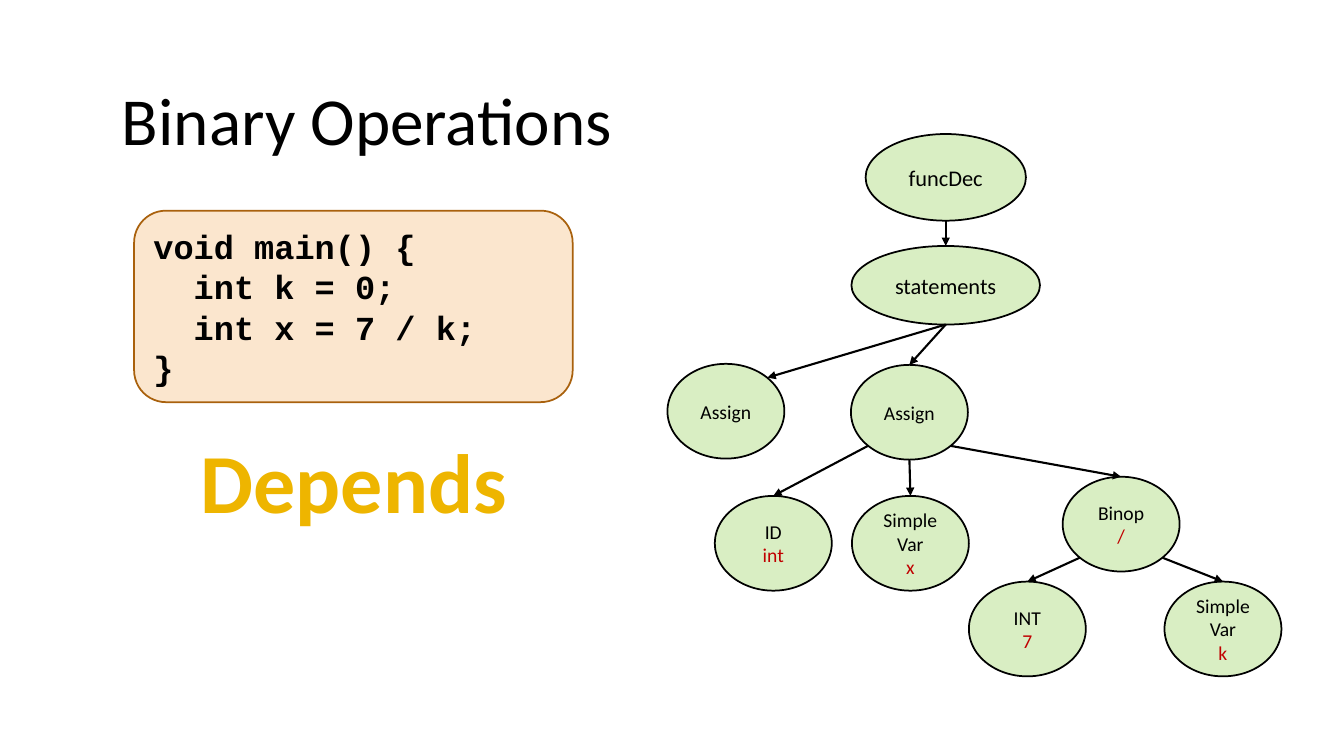
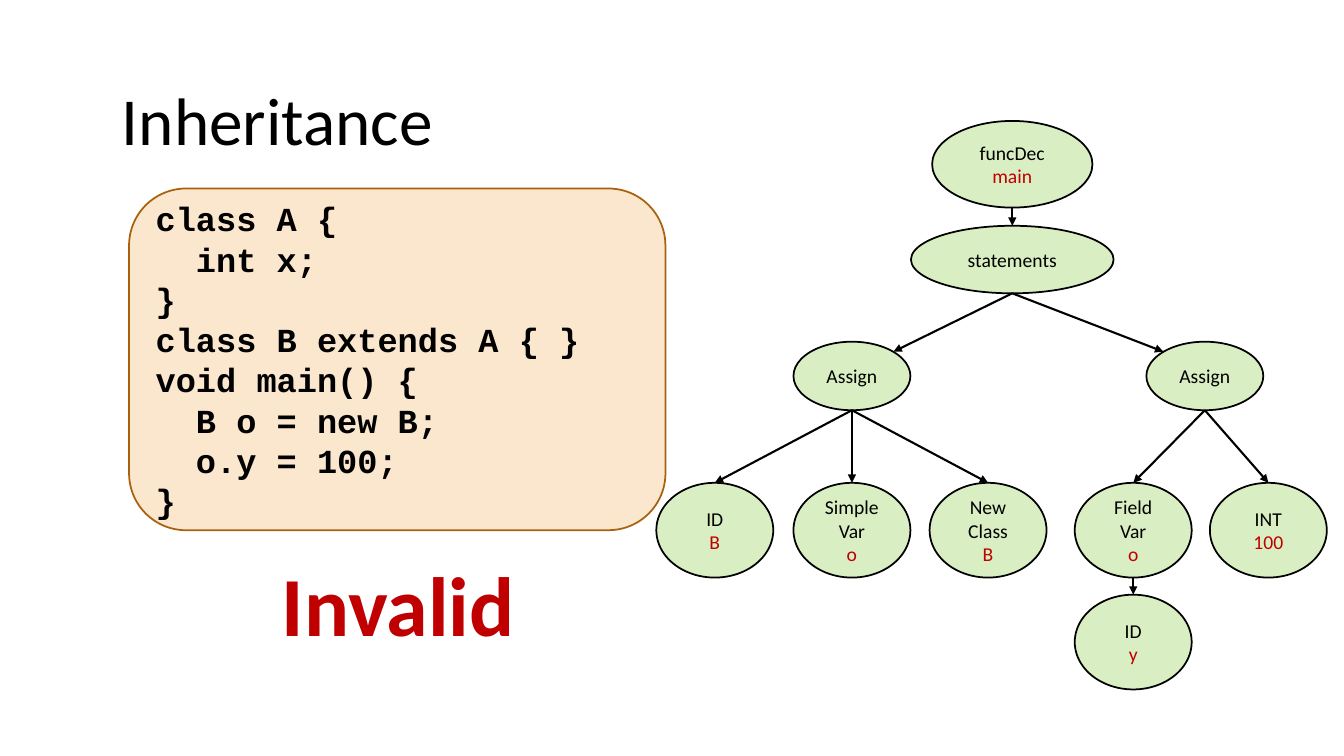
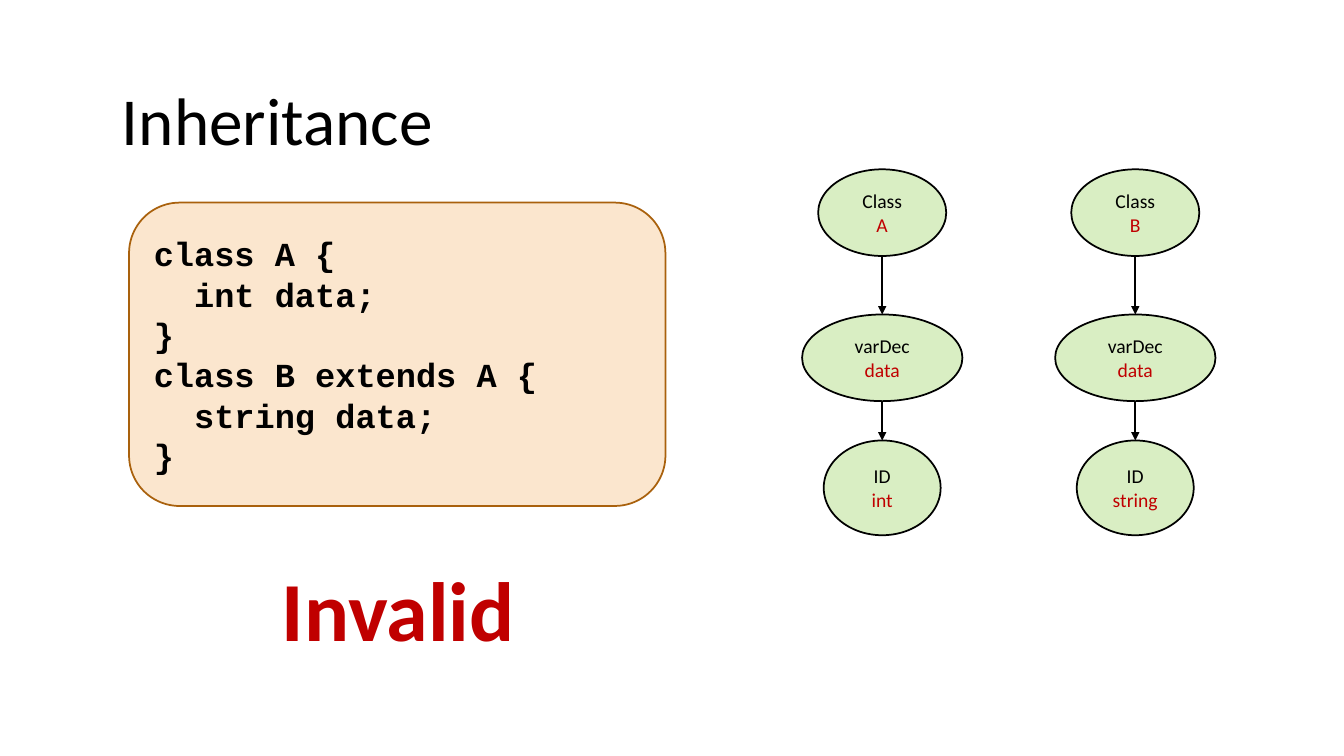
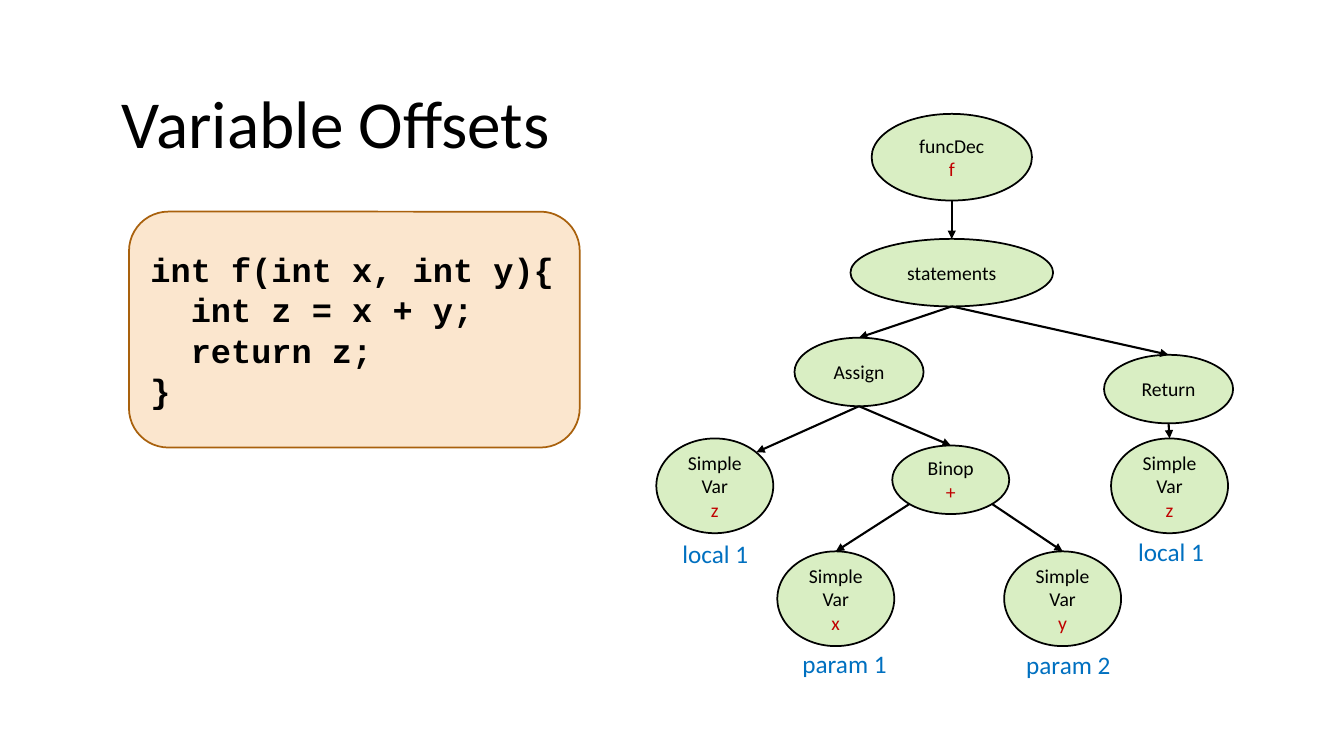
import lxml.etree
import pptx
import pptx.dml.color
import pptx.enum.shapes
import pptx.enum.text
import pptx.oxml.ns
import pptx.util

Inches = pptx.util.Inches
Pt = pptx.util.Pt
RGBColor = pptx.dml.color.RGBColor
SHAPE = pptx.enum.shapes.MSO_SHAPE
ALIGN = pptx.enum.text.PP_ALIGN
ANCHOR = pptx.enum.text.MSO_ANCHOR
qn = pptx.oxml.ns.qn

BLACK = RGBColor(0x00, 0x00, 0x00)
RED = RGBColor(0xC0, 0x00, 0x00)
AMBER = RGBColor(0xEE, 0xB5, 0x00)
BLUE = RGBColor(0x00, 0x70, 0xC0)
NODE_GREEN = RGBColor(0x92, 0xD0, 0x50)
CODE_FILL = RGBColor(0xFB, 0xE6, 0xCE)
CODE_LINE = RGBColor(0xA9, 0x61, 0x0D)

BODY_FONT = "Calibri"
CODE_FONT = "Courier New"
NODE_OPACITY = "34000"

# Node sizes: width, height
FUNCTION = (1.59, 0.86)
STATEMENTS = (2.01, 0.67)
LEAF = (1.16, 0.94)
FLAT = (1.16, 0.68)
WIDE_FLAT = (1.28, 0.68)
CLASS = (1.27, 0.86)

# Points on an ellipse, as fractions of its half width and half height
DIAGONAL = 0.71
TOP = (0, -1)
BOTTOM = (0, 1)
TOP_LEFT = (-DIAGONAL, -DIAGONAL)
TOP_RIGHT = (DIAGONAL, -DIAGONAL)
BOTTOM_LEFT = (-DIAGONAL, DIAGONAL)
BOTTOM_RIGHT = (DIAGONAL, DIAGONAL)


def box(left, top, width, height):
    return [Inches(length) for length in (left, top, width, height)]


def write_lines(frame, lines, size, font=BODY_FONT, bold=False, align=ALIGN.LEFT):
    """Write one paragraph for each (text, colour) pair."""
    frame.word_wrap = True
    for index, (text, colour) in enumerate(lines):
        paragraph = frame.add_paragraph() if index else frame.paragraphs[0]
        paragraph.alignment = align
        run = paragraph.add_run()
        run.text = text
        run.font.name = font
        run.font.size = Pt(size)
        run.font.bold = bold
        run.font.color.rgb = colour


def add_titled_slide(deck, heading, top=0.73):
    slide = deck.slides.add_slide(deck.slide_layouts[5])
    title = slide.shapes.title
    title.left, title.top, title.width, title.height = box(1.11, top, 11.09, 0.91)
    title.text_frame.auto_size = pptx.enum.text.MSO_AUTO_SIZE.NONE
    title.text_frame.vertical_anchor = ANCHOR.TOP
    write_lines(title.text_frame, [(heading, BLACK)], 48)
    return slide


def add_filled_shape(slide, preset, place, fill, line):
    shape = slide.shapes.add_shape(preset, *place)
    shape.shadow.inherit = False
    shape.fill.solid()
    shape.fill.fore_color.rgb = fill
    shape.line.color.rgb = line
    shape.line.width = Pt(1.25)
    shape.text_frame.vertical_anchor = ANCHOR.MIDDLE
    return shape


def add_code(slide, place, source):
    panel = add_filled_shape(slide, SHAPE.ROUNDED_RECTANGLE, box(*place),
                             CODE_FILL, CODE_LINE)
    write_lines(panel.text_frame, [(line, BLACK) for line in source],
                24, CODE_FONT, bold=True)


def add_text(slide, place, text, size, colour, bold=False, align=ALIGN.LEFT):
    label = slide.shapes.add_textbox(*box(*place))
    write_lines(label.text_frame, [(text, colour)], size, bold=bold, align=align)


def add_verdict(slide, place, text, colour):
    add_text(slide, place, text, 60, colour, bold=True, align=ALIGN.CENTER)


def add_node(slide, centre, top, kind, value=None, size=LEAF, points=14):
    """Add a tree node; its kind is black, one line a word, and its value red."""
    width, height = size
    node = add_filled_shape(slide, SHAPE.OVAL,
                            box(centre - width / 2, top, width, height),
                            NODE_GREEN, BLACK)
    colour = node.element.spPr.find(qn("a:solidFill")).find(qn("a:srgbClr"))
    lxml.etree.SubElement(colour, qn("a:alpha"), val=NODE_OPACITY)
    lines = [(word, BLACK) for word in kind.split()]
    if value:
        lines.append((value, RED))
    write_lines(node.text_frame, lines, points, align=ALIGN.CENTER)
    return node


def point_on(node, site):
    across, down = site
    return (round(node.left + node.width * (1 + across) / 2),
            round(node.top + node.height * (1 + down) / 2))


def add_edge(slide, parent, child, start=BOTTOM, end=TOP):
    edge = slide.shapes.add_connector(pptx.enum.shapes.MSO_CONNECTOR.STRAIGHT,
                                      *point_on(parent, start), *point_on(child, end))
    edge.line.color.rgb = BLACK
    edge.line.width = Pt(1.5)
    properties = edge.element.spPr
    lxml.etree.SubElement(properties.find(qn("a:ln")), qn("a:tailEnd"), type="triangle")
    lxml.etree.SubElement(properties, qn("a:effectLst"))


def build_binary_operations(deck):
    slide = add_titled_slide(deck, "Binary Operations")
    add_verdict(slide, (1.61, 4.21, 3.8, 1.11), "Depends", AMBER)
    add_code(slide, (1.33, 2.09, 4.35, 1.9),
             ["void main() {", "  int k = 0;", "  int x = 7 / k;", "}"])

    function = add_node(slide, 9.38, 1.33, "funcDec", size=FUNCTION, points=16)
    statements = add_node(slide, 9.38, 2.44, "statements", size=(1.87, 0.78), points=16)
    first_assign = add_node(slide, 7.2, 3.61, "Assign")
    second_assign = add_node(slide, 9.02, 3.62, "Assign")
    type_id = add_node(slide, 7.67, 4.92, "ID", "int")
    target = add_node(slide, 9.03, 4.92, "Simple Var", "x")
    division = add_node(slide, 11.12, 4.73, "Binop", "/")
    dividend = add_node(slide, 10.19, 5.77, "INT", "7")
    divisor = add_node(slide, 12.13, 5.77, "Simple Var", "k")

    add_edge(slide, function, statements)
    add_edge(slide, statements, first_assign, end=TOP_RIGHT)
    add_edge(slide, statements, second_assign)
    add_edge(slide, second_assign, type_id, start=BOTTOM_LEFT)
    add_edge(slide, second_assign, target)
    add_edge(slide, second_assign, division, start=BOTTOM_RIGHT)
    add_edge(slide, division, dividend, start=BOTTOM_LEFT)
    add_edge(slide, division, divisor, start=BOTTOM_RIGHT)


def build_missing_field(deck):
    slide = add_titled_slide(deck, "Inheritance")
    add_code(slide, (1.28, 1.87, 5.32, 3.39),
             ["class A {", "  int x;", "}", "class B extends A { }",
              "void main() {", "  B o = new B;", "  o.y = 100;", "}"])
    add_verdict(slide, (2.42, 5.43, 3.06, 1.11), "Invalid", RED)

    function = add_node(slide, 10.04, 1.2, "funcDec", "main", FUNCTION)
    statements = add_node(slide, 10.04, 2.24, "statements", size=STATEMENTS)
    creation = add_node(slide, 8.45, 3.39, "Assign", size=FLAT)
    update = add_node(slide, 11.95, 3.39, "Assign", size=FLAT)
    add_edge(slide, function, statements)
    add_edge(slide, statements, creation, end=TOP_RIGHT)
    add_edge(slide, statements, update, end=TOP_LEFT)

    operands = [
        (creation, 7.09, "ID", "B"),
        (creation, 8.45, "Simple Var", "o"),
        (creation, 9.8, "New Class", "B"),
        (update, 12.58, "INT", "100"),
        (update, 11.24, "Field Var", "o"),
    ]
    for assign, centre, kind, value in operands:
        operand = add_node(slide, centre, 4.79, kind, value)
        add_edge(slide, assign, operand)
    field_name = add_node(slide, 11.24, 5.9, "ID", "y")
    add_edge(slide, operand, field_name)


def build_redeclared_field(deck):
    slide = add_titled_slide(deck, "Inheritance")
    add_code(slide, (1.28, 2.01, 5.32, 3.01),
             ["class A {", "  int data;", "}",
              "class B extends A {", "  string data;", "}"])
    add_verdict(slide, (2.42, 5.48, 3.06, 1.11), "Invalid", RED)
    for centre, class_name, field_type in [(8.75, "A", "int"), (11.26, "B", "string")]:
        declared_class = add_node(slide, centre, 1.68, "Class", class_name, CLASS)
        field = add_node(slide, centre, 3.12, "varDec", "data", FUNCTION)
        type_id = add_node(slide, centre, 4.37, "ID", field_type)
        add_edge(slide, declared_class, field)
        add_edge(slide, field, type_id)


def build_variable_offsets(deck):
    slide = add_titled_slide(deck, "Variable Offsets", top=0.76)
    add_code(slide, (1.28, 2.1, 4.47, 2.34),
             ["int f(int x, int y){", "  int z = x + y;", "  return z;", "}"])

    function = add_node(slide, 9.44, 1.13, "funcDec", "f", FUNCTION)
    statements = add_node(slide, 9.44, 2.37, "statements", size=STATEMENTS)
    assign = add_node(slide, 8.52, 3.35, "Assign", size=WIDE_FLAT)
    result = add_node(slide, 11.59, 3.52, "Return", size=WIDE_FLAT)
    target = add_node(slide, 7.09, 4.35, "Simple Var", "z")
    addition = add_node(slide, 9.43, 4.42, "Binop", "+", FLAT)
    returned = add_node(slide, 11.6, 4.35, "Simple Var", "z")
    first_term = add_node(slide, 8.29, 5.47, "Simple Var", "x")
    second_term = add_node(slide, 10.54, 5.47, "Simple Var", "y")

    add_edge(slide, function, statements)
    add_edge(slide, statements, assign)
    add_edge(slide, statements, result)
    add_edge(slide, assign, target, end=TOP_RIGHT)
    add_edge(slide, assign, addition)
    add_edge(slide, result, returned)
    add_edge(slide, addition, first_term, start=BOTTOM_LEFT)
    add_edge(slide, addition, second_term, start=BOTTOM_RIGHT)

    offsets = [(7.86, 6.38, "param 1"), (10.08, 6.39, "param 2"),
               (6.67, 5.29, "local 1"), (11.19, 5.27, "local 1")]
    for left, top, offset in offsets:
        add_text(slide, (left, top, 1.04, 0.4), offset, 18, BLUE)


def main():
    deck = pptx.Presentation()
    deck.slide_width = Inches(13.33)
    deck.slide_height = Inches(7.5)
    build_binary_operations(deck)
    build_missing_field(deck)
    build_redeclared_field(deck)
    build_variable_offsets(deck)
    deck.save("out.pptx")


if __name__ == "__main__":
    main()
